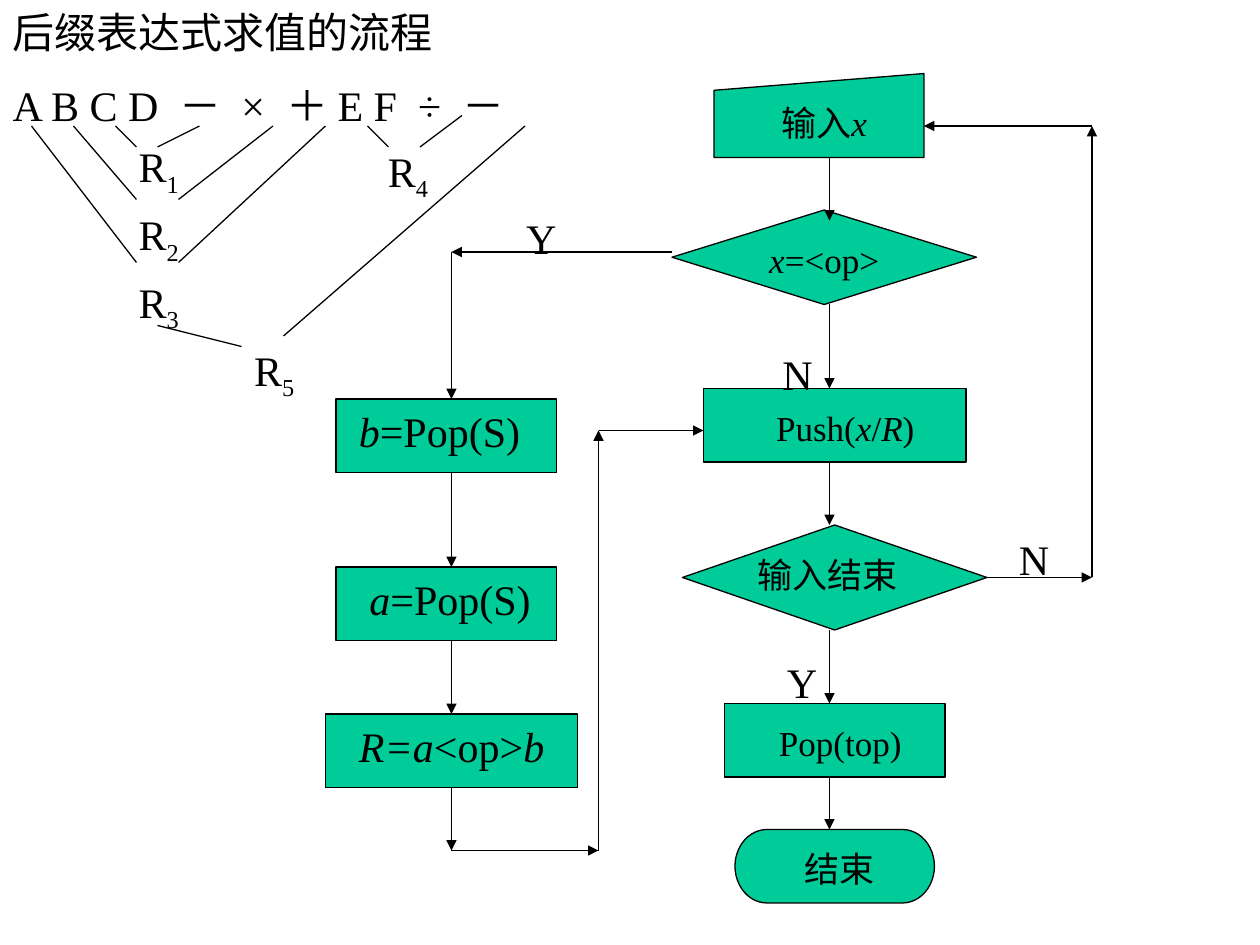
"""Build a slide showing the evaluation flow of a postfix expression."""
from itertools import pairwise

from lxml import etree
from pptx import Presentation
from pptx.dml.color import RGBColor
from pptx.enum.shapes import MSO_CONNECTOR, MSO_SHAPE
from pptx.enum.text import MSO_ANCHOR, MSO_AUTO_SIZE, PP_ALIGN
from pptx.oxml.ns import qn
from pptx.util import Pt

INPUT = MSO_SHAPE.FLOWCHART_MANUAL_INPUT
DECISION = MSO_SHAPE.FLOWCHART_DECISION
PROCESS = MSO_SHAPE.FLOWCHART_PROCESS
TERMINATOR = MSO_SHAPE.FLOWCHART_TERMINATOR
STRAIGHT = MSO_CONNECTOR.STRAIGHT
LEFT, CENTER = PP_ALIGN.LEFT, PP_ALIGN.CENTER
BLACK, GREEN = RGBColor.from_string("000000"), RGBColor.from_string("00CC99")
EXTRAS = {"subscript": ("baseline", "-25000"), "wide": ("spc", "600")}


def write(para, spans, size):
    for text, style in spans:
        span = para.add_run()
        span.text = text
        formats = {"name": "Times New Roman", "size": Pt(size), "bold": False, "italic": style == "italic"}
        for name, value in formats.items():
            setattr(span.font, name, value)
        span.font.color.rgb = BLACK
        if style in EXTRAS:
            span.font._element.set(*EXTRAS[style])


def connect(start, end, arrow):
    line = page.shapes.add_connector(STRAIGHT, *map(Pt, start + end))
    line.line.color.rgb = BLACK
    line.line.width = Pt(0.75)
    if arrow:
        etree.SubElement(line.line._get_or_add_ln(), qn("a:tailEnd"), type="triangle")
    etree.SubElement(line._element.spPr, qn("a:effectLst"))


deck = Presentation()
deck.slide_width, deck.slide_height = Pt(720), Pt(540)
page = deck.slides.add_slide(deck.slide_layouts[1])
title, body = page.placeholders
for holder, frame, anchor in [
    (title, (0, 0, 612, 36), MSO_ANCHOR.MIDDLE),
    (body, (0, 42, 702, 480), MSO_ANCHOR.TOP),
]:
    holder.left, holder.top, holder.width, holder.height = map(Pt, frame)
    formats = {"auto_size": MSO_AUTO_SIZE.NONE, "vertical_anchor": anchor, "word_wrap": True}
    for name, value in formats.items():
        setattr(holder.text_frame, name, value)

heading = title.text_frame.paragraphs[0]
heading.alignment = LEFT
write(heading, [("后缀表达式求值的流程", "")], 24)

expression = [("A B C D", "")]
for part in ["－", "×", "＋ E F", "÷", "－"]:
    expression += [(" ", "wide"), (part, "")]
rows = [
    (6, 0, expression),
    (6, 72, [("R", ""), ("1", "subscript")]),
    (6, 72, [("R", ""), ("2", "subscript")]),
    (6, 72, [("R", ""), ("3", "subscript")]),
    (6, 138, [("R", ""), ("5", "subscript")]),
    (75.5, 575, [("N", "")]),
    (41.5, 442.5, [("Y", "")]),
]
for index, (gap, margin, spans) in enumerate(rows):
    para = body.text_frame.add_paragraph() if index else body.text_frame.paragraphs[0]
    para.space_before = Pt(gap)
    properties = para._p.get_or_add_pPr()
    properties.set("marL", str(Pt(margin)))
    properties.set("indent", "0")
    etree.SubElement(properties, qn("a:buNone"))
    write(para, spans, 24)

reductions = [
    ((66, 72), (78, 84)), ((114, 72), (90, 84)),
    ((210, 72), (222, 84)), ((264, 66), (240, 84)),
    ((42, 72), (78, 114)), ((156, 72), (102, 114)),
    ((18, 72), (78, 150)), ((186, 72), (102, 150)),
    ((90, 186), (138, 198)), ((300, 72), (162, 192)),
]
for start, end in reductions:
    connect(start, end, False)

steps = [
    (INPUT, (408, 42, 120, 48)),
    (DECISION, (384, 120, 174, 54)),
    (PROCESS, (192, 228, 126, 42)),
    (PROCESS, (192, 324, 126, 42)),
    (PROCESS, (186, 408, 144, 42)),
    (PROCESS, (402, 222, 150, 42)),
    (DECISION, (390, 300, 174, 60)),
    (PROCESS, (414, 402, 126, 42)),
    (TERMINATOR, (420, 474, 114, 42)),
]
for kind, frame in steps:
    step = page.shapes.add_shape(kind, *map(Pt, frame))
    step.shadow.inherit = False
    step.fill.solid()
    step.fill.fore_color.rgb = GREEN
    step.line.color.rgb = BLACK
    step.line.width = Pt(0.75)

labels = [
    ((214.5, 79.5, 48, 40), 24, LEFT, [("R", ""), ("4", "subscript")]),
    ((293.5, 118, 48, 36), 24, LEFT, [("Y", "")]),
    ((440, 195.5, 48, 36), 24, LEFT, [("N", "")]),
    ((432, 54, 78, 32), 20, CENTER, [("输入", ""), ("x", "italic")]),
    ((426, 132, 90, 32), 20, CENTER, [("x", "italic"), ("=<op>", "")]),
    ((426, 228, 114, 32), 20, CENTER,
     [("Push(", ""), ("x", "italic"), ("/", ""), ("R", "italic"), (")", "")]),
    ((198, 228, 108, 36), 24, LEFT, [("b", "italic"), ("=Pop(S)", "")]),
    ((204, 324, 108, 36), 24, LEFT, [("a", "italic"), ("=Pop(S)", "")]),
    ((198, 408, 126, 36), 24, LEFT, [("R=a", "italic"), ("<op>", ""), ("b", "italic")]),
    ((426, 312, 102, 32), 20, LEFT, [("输入结束", "")]),
    ((438, 408, 96, 32), 20, LEFT, [("Pop(top)", "")]),
    ((444, 480, 72, 32), 20, CENTER, [("结束", "")]),
]
for frame, size, alignment, spans in labels:
    box = page.shapes.add_textbox(*map(Pt, frame))
    formats = {"word_wrap": True, "auto_size": MSO_AUTO_SIZE.SHAPE_TO_FIT_TEXT,
               "vertical_anchor": MSO_ANCHOR.MIDDLE}
    for name, value in formats.items():
        setattr(box.text_frame, name, value)
    para = box.text_frame.paragraphs[0]
    para.alignment = alignment
    write(para, spans, size)

routes = [
    [(474, 90), (474, 126)],
    [(474, 174), (474, 222)],
    [(384, 144), (258, 144), (258, 228)],
    [(258, 270), (258, 324)],
    [(258, 366), (258, 408)],
    [(258, 450), (258, 486), (342, 486), (342, 246), (402, 246)],
    [(474, 264), (474, 300)],
    [(474, 360), (474, 402)],
    [(474, 444), (474, 474)],
    [(564, 330), (624, 330), (624, 72), (528, 72)],
]
for route in routes:
    for start, end in pairwise(route):
        connect(start, end, True)

deck.save("out.pptx")
